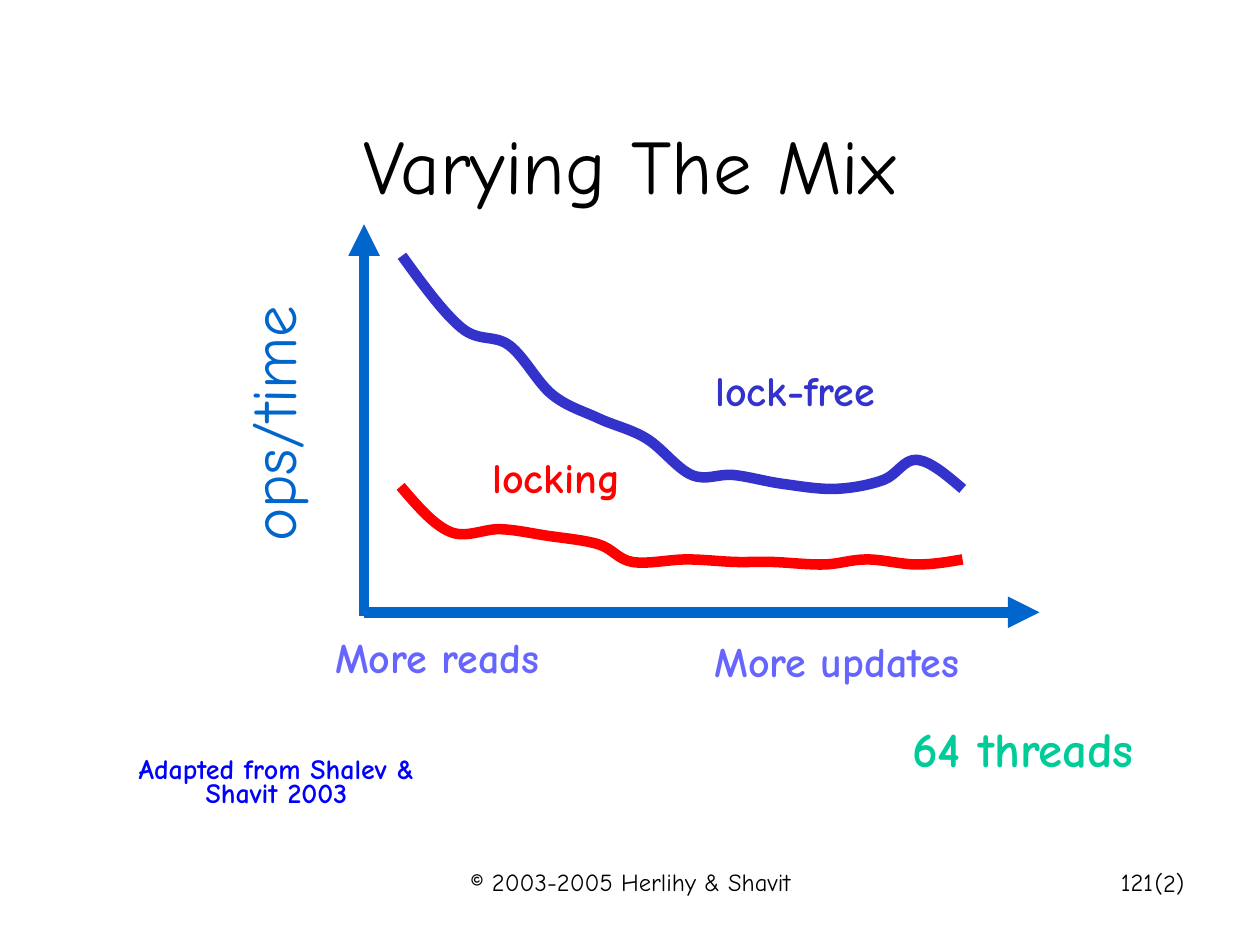
from dataclasses import dataclass

from lxml import etree
from pptx import Presentation
from pptx import util as u
from pptx.dml.color import RGBColor
from pptx.enum import shapes, text
from pptx.oxml import ns


@dataclass(frozen=True)
class Theme:
    font: str = "Comic Neue"
    black: str = "000000"
    axis: str = "0066CC"
    lock_free: str = "3333CC"
    locking: str = "FF0000"
    mix: str = "6666FF"
    source: str = "0000FF"
    threads: str = "00CC99"
    title_size: int = 44
    axis_size: int = 36
    threads_size: int = 28
    label_size: int = 24
    source_size: int = 16
    footer_size: int = 14
    stroke: int = 6


THEME = Theme()
ALIGN = text.PP_ALIGN
LOCK_FREE_POINTS = [
    (3.19, 2.03), (3.66, 2.6), (4.04, 2.74), (4.38, 3.13), (4.75, 3.32),
    (5.13, 3.48), (5.49, 3.77), (5.82, 3.77), (6.21, 3.84), (6.63, 3.88),
    (7.01, 3.81), (7.28, 3.65), (7.64, 3.88),
]
LOCKING_POINTS = [
    (3.18, 3.86), (3.57, 4.22), (3.97, 4.2), (4.33, 4.25), (4.75, 4.32),
    (5.02, 4.46), (5.45, 4.44), (5.83, 4.46), (6.13, 4.46), (6.54, 4.48),
    (6.88, 4.44), (7.28, 4.48), (7.64, 4.44),
]


def add_text(slide, wording, box, size, color, align=ALIGN.CENTER, wrap=True, grow=False):
    label = slide.shapes.add_textbox(*map(u.Inches, box))
    frame = label.text_frame
    frame.word_wrap = wrap
    frame.auto_size = text.MSO_AUTO_SIZE.SHAPE_TO_FIT_TEXT if grow else text.MSO_AUTO_SIZE.NONE
    paragraph = frame.paragraphs[0]
    paragraph.text = wording
    paragraph.alignment = align
    paragraph.font.name = THEME.font
    paragraph.font.size = u.Pt(size)
    paragraph.font.color.rgb = RGBColor.from_string(color)
    return label


def add_bold_label(slide, wording, box, size, color, wrap=False):
    label = add_text(slide, wording, box, size, color, wrap=wrap, grow=True)
    paragraph = label.text_frame.paragraphs[0]
    paragraph.line_spacing = 0.7
    paragraph.font.bold = True


def add_axis_title(slide, wording, box):
    title = add_text(slide, wording, box, THEME.axis_size, THEME.axis, ALIGN.RIGHT, False, True)
    title.rotation = 180
    frame = title.text_frame
    frame.margin_left = frame.margin_right = u.Inches(0.05)
    frame.margin_top = frame.margin_bottom = u.Inches(0.1)
    frame._txBody.bodyPr.set("vert", "eaVert")


def set_stroke(line, color):
    line.color.rgb = RGBColor.from_string(color)
    line.width = u.Pt(THEME.stroke)


def add_axis(slide, start, end):
    axis = slide.shapes.add_connector(
        shapes.MSO_CONNECTOR.STRAIGHT, *map(u.Inches, start + end))
    set_stroke(axis.line, THEME.axis)
    etree.SubElement(axis.line._get_or_add_ln(), ns.qn("a:tailEnd"), type="triangle")
    etree.SubElement(axis._element.spPr, ns.qn("a:effectLst"))


def bezier_controls(knots):
    tangents = [
        ((after[0] - before[0]) / 6, (after[1] - before[1]) / 6)
        for before, after in zip(knots, knots[2:])
    ]
    outgoing = [(x + dx, y + dy) for (x, y), (dx, dy) in zip(knots[1:-1], tangents)]
    incoming = [(x - dx, y - dy) for (x, y), (dx, dy) in zip(knots[1:-1], tangents)]
    first = tuple((a + b) / 2 for a, b in zip(knots[0], incoming[0]))
    last = tuple((a + b) / 2 for a, b in zip(knots[-1], outgoing[-1]))
    return list(zip([first] + outgoing, incoming + [last]))


def add_curve(slide, points, color):
    knots = [(u.Inches(x), u.Inches(y)) for x, y in points]
    builder = slide.shapes.build_freeform(*knots[0])
    builder.add_line_segments(knots[1:], close=False)
    curve = builder.convert_to_shape()
    curve.shadow.inherit = False
    curve.fill.background()
    set_stroke(curve.line, color)
    segments = list(curve._element.iter(ns.qn("a:lnTo")))
    for segment, controls in zip(segments, bezier_controls(knots)):
        segment.tag = ns.qn("a:cubicBezTo")
        for index, (x, y) in enumerate(controls):
            control = etree.Element(
                ns.qn("a:pt"), x=str(round(x - curve.left)), y=str(round(y - curve.top)))
            segment.insert(index, control)


def main():
    deck = Presentation()
    deck.slide_width, deck.slide_height = u.Inches(10), u.Inches(7.5)
    slide = deck.slides.add_slide(deck.slide_layouts[6])

    title = add_text(slide, "Varying The Mix", (0.75, 0.67, 8.5, 1.25),
                     THEME.title_size, THEME.black)
    title.text_frame.vertical_anchor = text.MSO_ANCHOR.MIDDLE

    add_axis(slide, (2.89, 4.89), (2.89, 1.78))
    add_axis(slide, (2.89, 4.86), (8.25, 4.86))
    add_axis_title(slide, "ops/time", (1.8, 2.42, 0.8, 1.98))

    for wording, box, color in [
        ("locking", (3.78, 3.64, 1.27, 0.38), THEME.locking),
        ("lock-free", (5.55, 2.95, 1.52, 0.38), THEME.lock_free),
        ("More reads", (2.52, 5.07, 1.9, 0.38), THEME.mix),
        ("More updates", (5.53, 5.1, 2.22, 0.38), THEME.mix),
    ]:
        add_bold_label(slide, wording, box, THEME.label_size, color)
    add_bold_label(slide, "Adapted from Shalev & Shavit 2003", (0.91, 5.99, 2.57, 0.48),
                   THEME.source_size, THEME.source, wrap=True)
    add_bold_label(slide, "64 threads", (7.1, 5.78, 2.04, 0.43),
                   THEME.threads_size, THEME.threads)

    add_curve(slide, LOCK_FREE_POINTS, THEME.lock_free)
    add_curve(slide, LOCKING_POINTS, THEME.locking)

    add_text(slide, "© 2003-2005 Herlihy & Shavit", (3.42, 6.83, 3.17, 0.5),
             THEME.footer_size, THEME.black)
    add_text(slide, "121", (7.17, 6.83, 2.08, 0.5),
             THEME.footer_size, THEME.black, ALIGN.RIGHT)
    add_text(slide, "(2)", (9.0, 6.84, 0.5, 0.34),
             THEME.footer_size, THEME.black, ALIGN.RIGHT, wrap=False, grow=True)

    deck.save("out.pptx")


if __name__ == "__main__":
    main()
